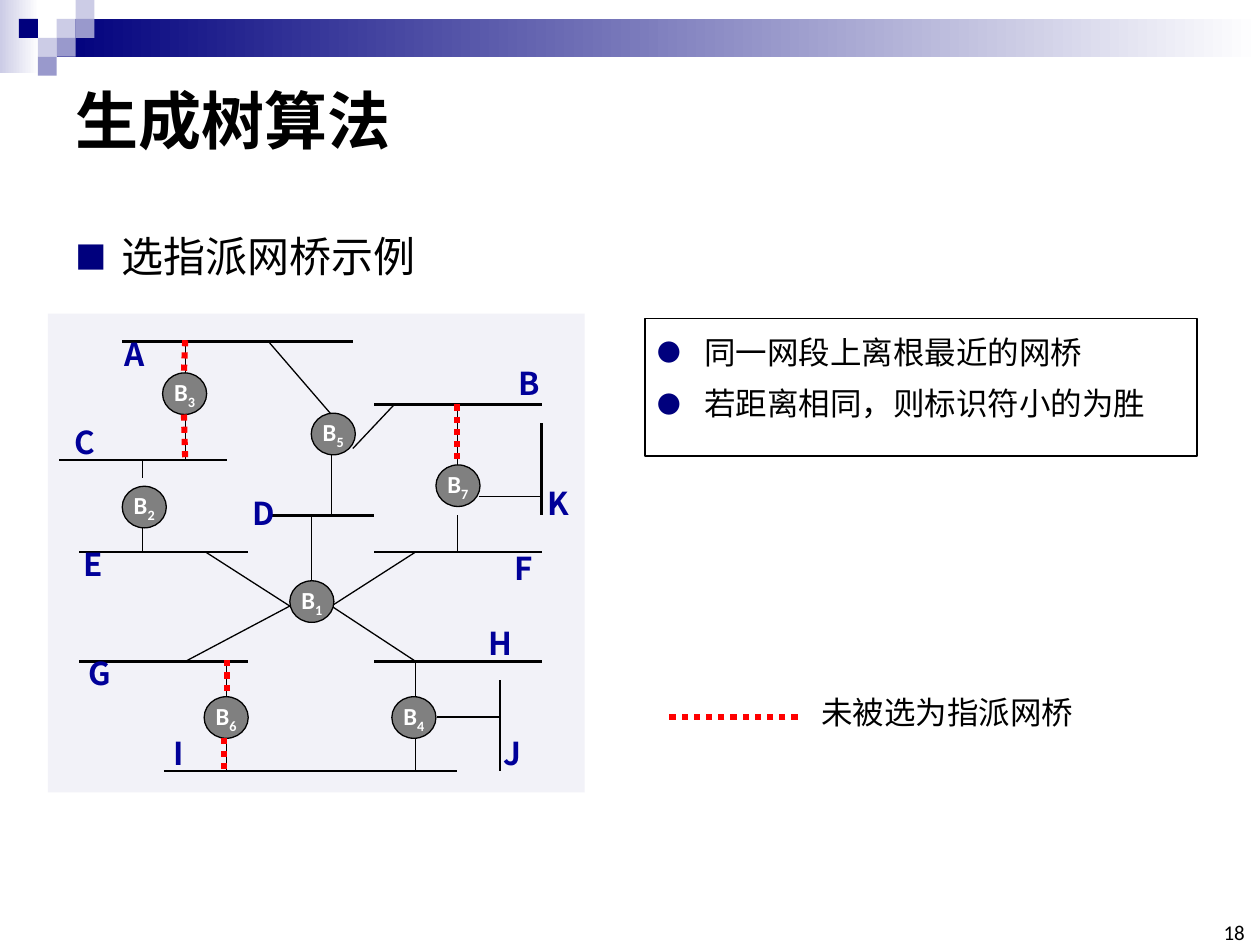
from dataclasses import dataclass
from typing import NamedTuple

from lxml.etree import SubElement
from pptx import Presentation
from pptx.dml.color import RGBColor
from pptx.enum.dml import MSO_LINE
from pptx.enum.shapes import MSO_CONNECTOR, MSO_SHAPE
from pptx.enum.text import MSO_ANCHOR, MSO_AUTO_SIZE, PP_ALIGN
from pptx.oxml.ns import qn
from pptx.util import Inches, Pt


@dataclass(frozen=True)
class Theme:
    black: str = "000000"
    white: str = "FFFFFF"
    navy: str = "00007D"
    violet: str = "9999CC"
    lilac: str = "CCCCE6"
    panel: str = "F2F2F8"
    bridge: str = "808080"
    segment: str = "000099"
    blocked: str = "FF0000"
    latin: str = "Calibri"
    cjk: str = "Noto Sans CJK SC"
    title_size: float = 36
    body_size: float = 24
    text_size: float = 18
    bridge_size: float = 14
    number_size: float = 12
    thin: float = 0.75
    thick: float = 1.5
    dotted: float = 3.5


class Box(NamedTuple):
    left: float
    top: float
    width: float
    height: float


class Link(NamedTuple):
    x1: float
    y1: float
    x2: float
    y2: float


class Tile(NamedTuple):
    column: int
    row: int
    color: str


class Segment(NamedTuple):
    name: str
    center: float
    top: float


class Bridge(NamedTuple):
    number: str
    left: float
    top: float


THEME = Theme()
TILE = 0.15
BRIDGE_WIDTH, BRIDGE_HEIGHT = 0.35, 0.33
LABEL_WIDTH, LABEL_HEIGHT = 0.5, 0.4

TILES = [
    Tile(3, 1, THEME.lilac), Tile(4, 0, THEME.lilac), Tile(4, 1, THEME.violet),
    Tile(2, 2, THEME.lilac), Tile(1, 1, THEME.navy), Tile(3, 2, THEME.violet),
    Tile(2, 3, THEME.violet),
]
SEGMENT_LINES = [
    Link(0.97, 2.71, 2.8, 2.71), Link(2.97, 3.21, 4.3, 3.21),
    Link(0.47, 3.65, 1.8, 3.65), Link(2.13, 4.09, 2.97, 4.09),
    Link(2.97, 4.38, 4.3, 4.38), Link(0.63, 4.38, 1.97, 4.38),
    Link(0.63, 5.25, 1.97, 5.25), Link(2.97, 5.25, 4.3, 5.25),
    Link(1.3, 6.12, 3.63, 6.12), Link(4.3, 3.36, 4.3, 4.09),
    Link(3.97, 5.4, 3.97, 6.12),
]
BRIDGE_LINKS = [
    Link(1.47, 2.71, 1.47, 3), Link(1.47, 3.24, 1.47, 3.65),
    Link(2.13, 2.71, 2.63, 3.29), Link(3.13, 3.21, 2.8, 3.56),
    Link(2.63, 3.56, 2.63, 4.09), Link(1.13, 3.65, 1.13, 3.79),
    Link(1.13, 4.09, 1.13, 4.38), Link(2.47, 4.09, 2.47, 4.67),
    Link(1.63, 4.38, 2.3, 4.81), Link(3.63, 3.21, 3.63, 3.79),
    Link(3.63, 4.09, 3.63, 4.38), Link(3.8, 3.94, 4.3, 3.94),
    Link(2.63, 4.81, 3.3, 4.38), Link(2.3, 4.81, 1.47, 5.25),
    Link(2.63, 4.81, 3.3, 5.25), Link(1.8, 5.25, 1.8, 5.54),
    Link(1.8, 5.83, 1.8, 6.12), Link(3.3, 5.25, 3.3, 5.54),
    Link(3.3, 5.83, 3.3, 6.12), Link(3.47, 5.69, 3.97, 5.69),
]
BLOCKED_LINKS = [
    Link(1.46, 3.29, 1.47, 3.65), Link(1.47, 2.7, 1.46, 2.96),
    Link(3.63, 3.21, 3.63, 3.69), Link(1.8, 5.24, 1.8, 5.5),
    Link(1.78, 5.86, 1.78, 6.12), Link(6.33, 5.69, 5.29, 5.69),
]
SEGMENTS = [
    Segment("A", 1.07, 2.61), Segment("D", 2.09, 3.87), Segment("K", 4.43, 3.79),
    Segment("F", 4.16, 4.31), Segment("H", 3.97, 4.9), Segment("J", 4.07, 5.78),
    Segment("I", 1.42, 5.78), Segment("E", 0.74, 4.28), Segment("G", 0.79, 5.14),
    Segment("B", 4.2, 2.84), Segment("C", 0.67, 3.31),
]
BRIDGES = [
    Bridge("3", 1.29, 2.96), Bridge("5", 2.47, 3.28), Bridge("2", 0.97, 3.86),
    Bridge("1", 2.3, 4.61), Bridge("6", 1.62, 5.53), Bridge("4", 3.11, 5.53),
    Bridge("7", 3.46, 3.69),
]
RULES = ["同一网段上离根最近的网桥", "若距离相同，则标识符小的为胜"]

deck = Presentation()
deck.slide_width, deck.slide_height = Inches(10), Inches(7.5)
slide = deck.slides.add_slide(deck.slide_layouts[6])


def add_area(box: Box, fill: str = "", fade: str = "", outline: str = "", kind=MSO_SHAPE.RECTANGLE):
    area = slide.shapes.add_shape(kind, *map(Inches, box))
    area.shadow.inherit = False
    if fade:
        area.fill.gradient()
        area.fill.gradient_angle = 0
        for stop, color in zip(area.fill.gradient_stops, (fill, fade)):
            stop.color.rgb = RGBColor.from_string(color)
    elif fill:
        area.fill.solid()
        area.fill.fore_color.rgb = RGBColor.from_string(fill)
    else:
        area.fill.background()
    if outline:
        area.line.color.rgb = RGBColor.from_string(outline)
        area.line.width = Pt(THEME.thin)
    else:
        area.line.fill.background()
    return area


def add_line(link: Link, color: str, width: float, dash=None) -> None:
    line = slide.shapes.add_connector(MSO_CONNECTOR.STRAIGHT, *map(Inches, link))
    line.line.color.rgb = RGBColor.from_string(color)
    line.line.width = Pt(width)
    if dash:
        line.line.dash_style = dash
    SubElement(line._element.spPr, qn("a:effectLst"))


def add_run(paragraph, text: str, size: float, color: str, font: str, bold: bool = False):
    run = paragraph.add_run()
    run.text = text
    run.font.size = Pt(size)
    run.font.bold = bold
    run.font.name = font
    run.font.color.rgb = RGBColor.from_string(color)
    SubElement(run.font._element, qn("a:ea"), typeface=THEME.cjk)
    return run


def add_bullet(paragraph, mark: str) -> None:
    properties = paragraph._p.get_or_add_pPr()
    properties.set("marL", str(Inches(0.37)))
    properties.set("indent", str(-Inches(0.37)))
    color = SubElement(properties, qn("a:buClr"))
    SubElement(color, qn("a:srgbClr"), val=THEME.navy)
    SubElement(properties, qn("a:buSzPct"), val="75000")
    SubElement(properties, qn("a:buFont"), typeface=THEME.cjk)
    SubElement(properties, qn("a:buChar"), char=mark)


def add_text(box: Box, text: str, size: float, color: str, font: str, bold: bool = False,
             align=PP_ALIGN.LEFT, anchor=MSO_ANCHOR.TOP, wrap: bool = True):
    frame = slide.shapes.add_textbox(*map(Inches, box)).text_frame
    frame.word_wrap = wrap
    frame.vertical_anchor = anchor
    frame.paragraphs[0].alignment = align
    add_run(frame.paragraphs[0], text, size, color, font, bold)
    return frame


def clear_margins(frame) -> None:
    frame.margin_left = frame.margin_right = frame.margin_top = frame.margin_bottom = 0


def add_bridge(bridge: Bridge) -> None:
    box = Box(bridge.left, bridge.top, BRIDGE_WIDTH, BRIDGE_HEIGHT)
    frame = add_area(box, THEME.bridge, outline=THEME.black, kind=MSO_SHAPE.OVAL).text_frame
    clear_margins(frame)
    frame.word_wrap = False
    frame.vertical_anchor = MSO_ANCHOR.MIDDLE
    paragraph = frame.paragraphs[0]
    paragraph.alignment = PP_ALIGN.CENTER
    add_run(paragraph, "B", THEME.bridge_size, THEME.white, THEME.latin, True)
    number = add_run(paragraph, bridge.number, THEME.bridge_size, THEME.white, THEME.latin, True)
    number.font._element.set("baseline", "-25000")


add_area(Box(0, 0, 0.31, 0.58), THEME.lilac, THEME.white)
add_area(Box(0.45, 0.15, 9.55, 0.3), THEME.navy, THEME.white)
for tile in TILES:
    add_area(Box(tile.column * TILE, tile.row * TILE, TILE, TILE), tile.color)

add_text(Box(0.5, 0.5, 9, 0.89), "生成树算法", THEME.title_size, THEME.black, THEME.cjk, True,
         anchor=MSO_ANCHOR.MIDDLE)
topic = add_text(Box(0.5, 1.58, 9, 0.78), "选指派网桥示例", THEME.body_size, THEME.black, THEME.latin)
topic.paragraphs[0].line_spacing = 1.5
topic.paragraphs[0].space_before = Pt(18)
add_bullet(topic.paragraphs[0], "■")
clear_margins(add_text(Box(9.65, 7.33, 0.23, 0.17), "18", THEME.number_size, THEME.black, THEME.latin,
                       align=PP_ALIGN.RIGHT, anchor=MSO_ANCHOR.BOTTOM, wrap=False))

rules = add_area(Box(5.12, 2.53, 4.38, 1.09), outline=THEME.black).text_frame
rules.word_wrap = True
rules.vertical_anchor = MSO_ANCHOR.TOP
for index, rule in enumerate(RULES):
    paragraph = rules.add_paragraph() if index else rules.paragraphs[0]
    paragraph.alignment = PP_ALIGN.LEFT
    paragraph.line_spacing = 1.2
    paragraph.space_before = Pt(THEME.text_size * 0.2)
    add_bullet(paragraph, "●")
    add_run(paragraph, rule, THEME.text_size, THEME.black, THEME.latin)

add_area(Box(0.38, 2.49, 4.26, 3.8), THEME.panel)
for link in SEGMENT_LINES:
    add_line(link, THEME.black, THEME.thick)
for link in BRIDGE_LINKS:
    add_line(link, THEME.black, THEME.thin)
for segment in SEGMENTS:
    label = add_text(Box(segment.center - LABEL_WIDTH / 2, segment.top, LABEL_WIDTH, LABEL_HEIGHT),
                     segment.name, THEME.text_size, THEME.segment, THEME.cjk, True, PP_ALIGN.CENTER)
    label.auto_size = MSO_AUTO_SIZE.SHAPE_TO_FIT_TEXT
for bridge in BRIDGES:
    add_bridge(bridge)
for link in BLOCKED_LINKS:
    add_line(link, THEME.blocked, THEME.dotted, MSO_LINE.ROUND_DOT)

legend = add_text(Box(6.42, 5.45, 2.22, 0.4), "未被选为指派网桥", THEME.text_size, THEME.black, THEME.cjk,
                  wrap=False)
legend.auto_size = MSO_AUTO_SIZE.SHAPE_TO_FIT_TEXT

deck.save("out.pptx")
